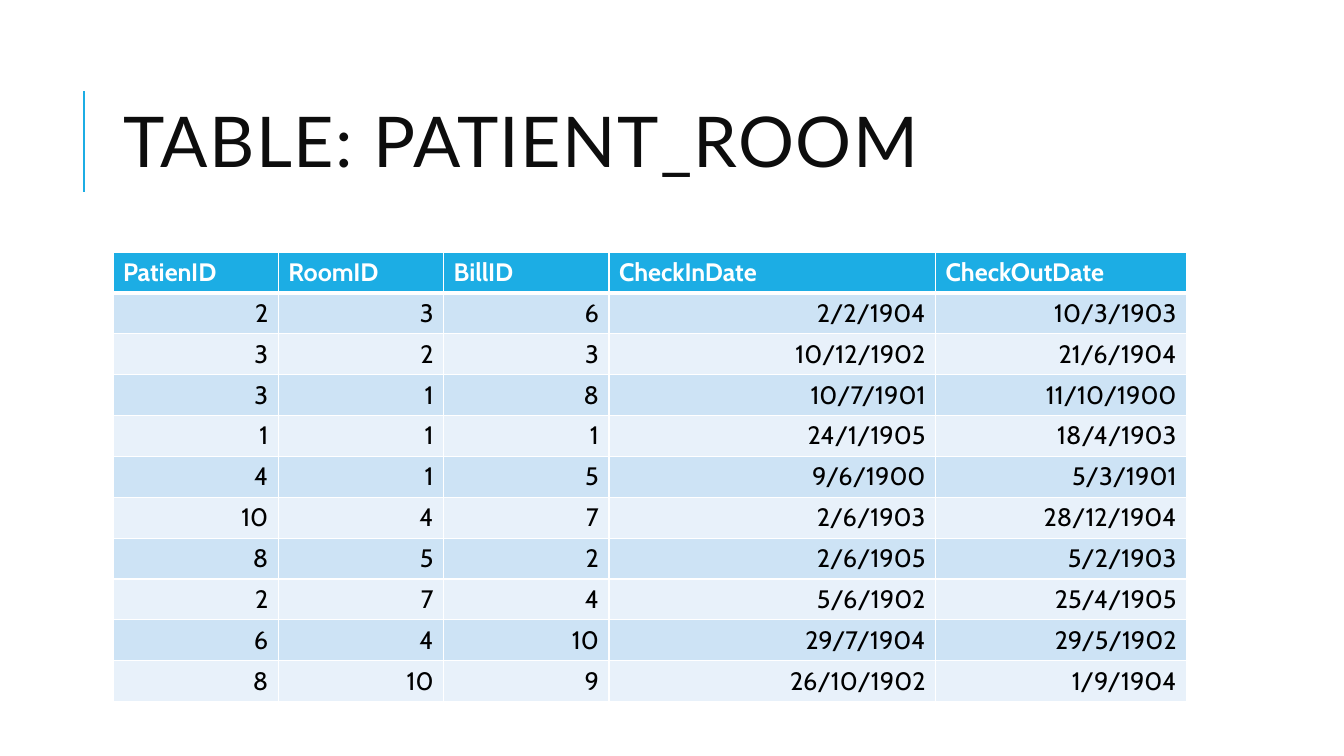
"""Build the PATIENT_ROOM table slide."""
from lxml import etree
from pptx import Presentation
from pptx.dml.color import RGBColor
from pptx.enum import shapes, text
from pptx.oxml.ns import qn
from pptx.util import Inches, Pt

COLORS = {"accent": "1CADE4", "title": "0D0D0D", "white": "FFFFFF",
          "black": "000000", "odd": "CDE3F5", "even": "E8F1FA"}
HEADINGS = ["PatienID", "RoomID", "BillID", "CheckInDate", "CheckOutDate"]
STAYS = [
    (2, 3, 6, "2/2/1904", "10/3/1903"),
    (3, 2, 3, "10/12/1902", "21/6/1904"),
    (3, 1, 8, "10/7/1901", "11/10/1900"),
    (1, 1, 1, "24/1/1905", "18/4/1903"),
    (4, 1, 5, "9/6/1900", "5/3/1901"),
    (10, 4, 7, "2/6/1903", "28/12/1904"),
    (8, 5, 2, "2/6/1905", "5/2/1903"),
    (2, 7, 4, "5/6/1902", "25/4/1905"),
    (6, 4, 10, "29/7/1904", "29/5/1902"),
    (8, 10, 9, "26/10/1902", "1/9/1904"),
]
COLUMN_WIDTHS = [1.64, 1.64, 1.64, 3.24, 2.49]
ROW_HEIGHT = 0.4


def set_font(font, color, **formats):
    for name, value in formats.items():
        setattr(font, name, value)
    font.color.rgb = RGBColor.from_string(COLORS[color])


def add_border(cell, side, points):
    border = etree.SubElement(cell._tc.get_or_add_tcPr(), qn(f"a:ln{side}"), w=str(Pt(points)))
    fill = etree.SubElement(border, qn("a:solidFill"))
    etree.SubElement(fill, qn("a:srgbClr"), val=COLORS["white"])


prs = Presentation()
prs.slide_width, prs.slide_height = Inches(13.33), Inches(7.5)
slide = prs.slides.add_slide(prs.slide_layouts[5])

accent_rule = slide.shapes.add_connector(
    shapes.MSO_CONNECTOR.STRAIGHT, Inches(0.83), Inches(1.9), Inches(0.83), Inches(0.9))
accent_rule.line.color.rgb = RGBColor.from_string(COLORS["accent"])
accent_rule.line.width = Pt(1.5)
etree.SubElement(accent_rule._element.spPr, qn("a:effectLst"))

title = slide.shapes.title
title.left, title.top, title.width, title.height = map(Inches, (1.12, 0.64, 10.63, 1.64))
title.text_frame.text = "TABLE: PATIENT_ROOM"
title.text_frame.auto_size = text.MSO_AUTO_SIZE.NONE
title.text_frame.vertical_anchor = text.MSO_ANCHOR.MIDDLE
heading = title.text_frame.paragraphs[0]
heading.alignment = text.PP_ALIGN.LEFT
heading.line_spacing = 0.8
set_font(heading.runs[0].font, "title", name="Lato", size=Pt(50))
heading.runs[0].font._element.set("spc", "100")

records = [HEADINGS, *STAYS]
stay_table = slide.shapes.add_table(
    len(records), len(HEADINGS), Inches(1.12), Inches(2.5),
    Inches(sum(COLUMN_WIDTHS)), Inches(ROW_HEIGHT * len(records))).table
for column, width in zip(stay_table.columns, COLUMN_WIDTHS):
    column.width = Inches(width)

for row_index, record in enumerate(records):
    is_header = row_index == 0
    row_fill = "accent" if is_header else ("even", "odd")[row_index % 2]
    for column_index, value in enumerate(record):
        cell = stay_table.cell(row_index, column_index)
        cell.text = str(value)
        cell.vertical_anchor = text.MSO_ANCHOR.MIDDLE
        entry = cell.text_frame.paragraphs[0]
        entry.alignment = text.PP_ALIGN.LEFT if is_header else text.PP_ALIGN.RIGHT
        set_font(entry.runs[0].font, "white" if is_header else "black",
                 name="Cabin", size=Pt(18), bold=is_header)
        for side in "LRTB":
            header_edge = (row_index, side) in ((0, "B"), (1, "T"))
            add_border(cell, side, 3 if header_edge else 1)
        cell.fill.solid()
        cell.fill.fore_color.rgb = RGBColor.from_string(COLORS[row_fill])

prs.save("out.pptx")
